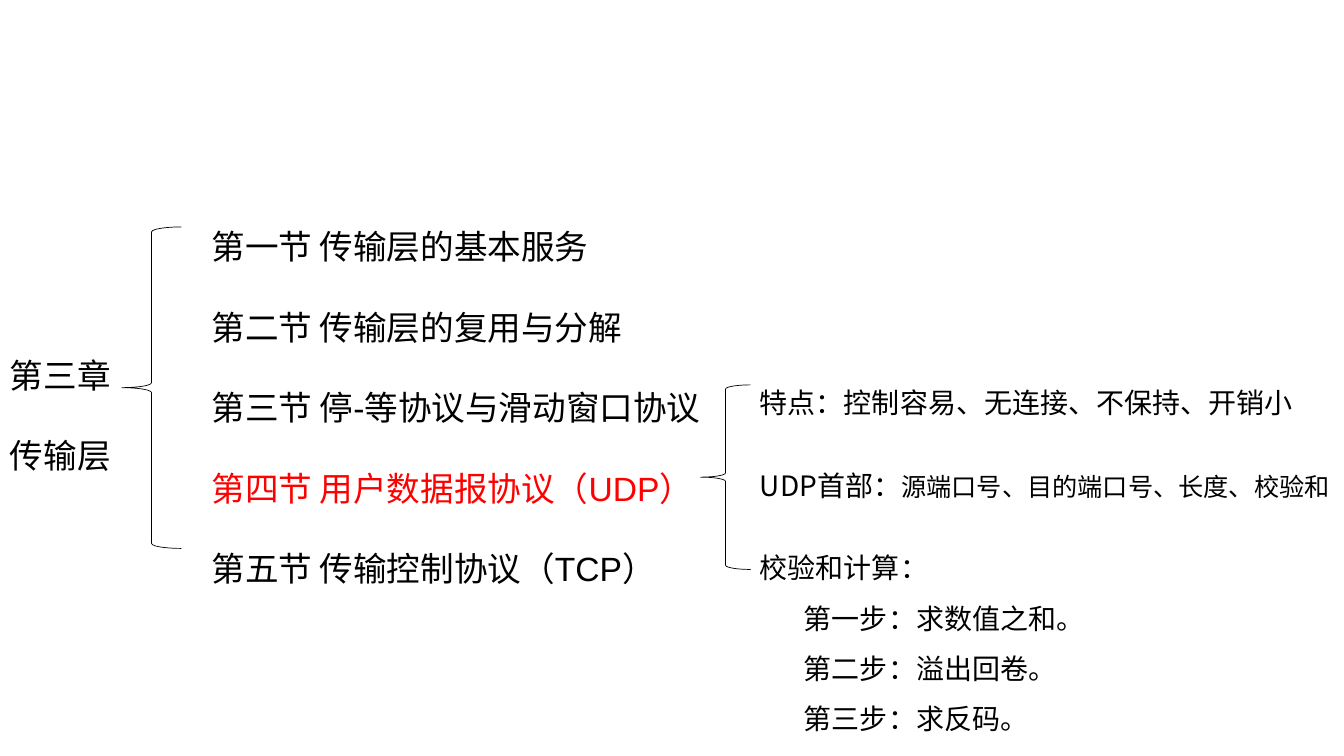
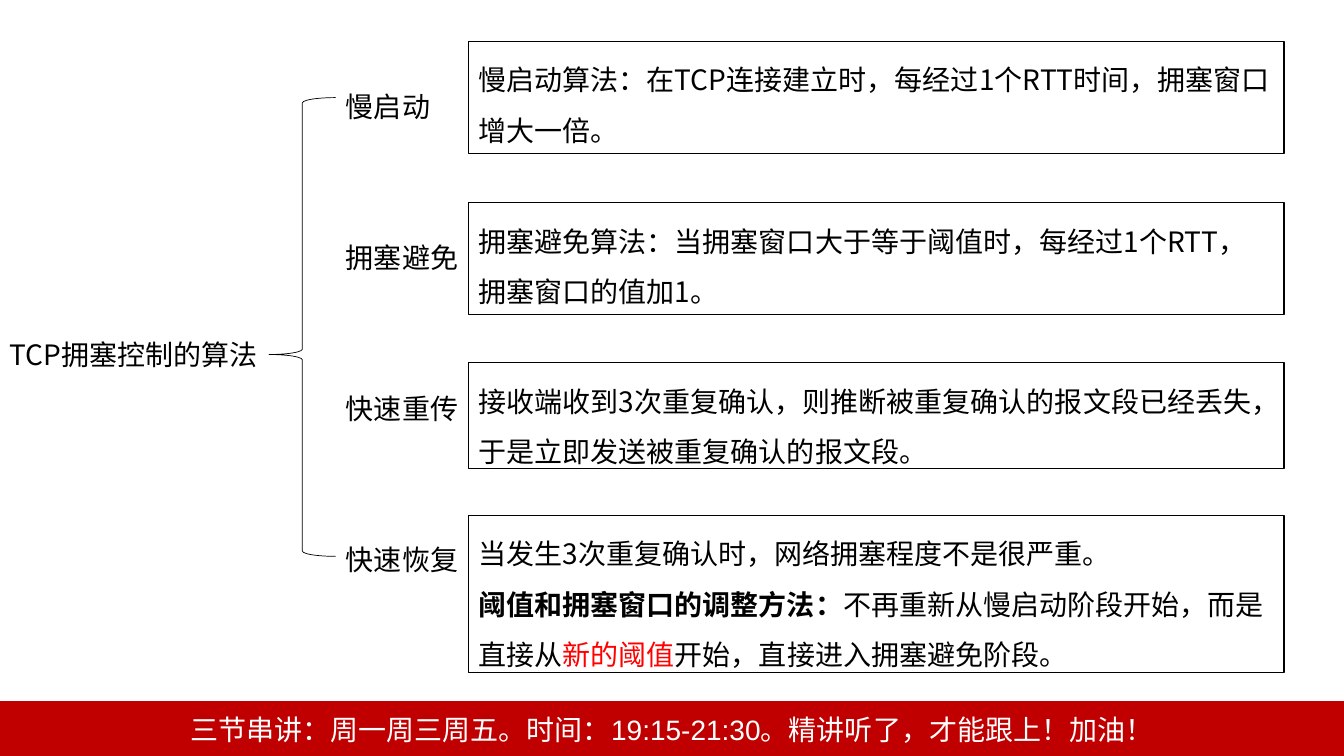
from pptx import Presentation
from pptx.dml.color import RGBColor
from pptx.enum.shapes import MSO_SHAPE
from pptx.enum.text import MSO_ANCHOR, PP_ALIGN
from pptx.oxml.ns import qn
from pptx.util import Cm, Pt

BLACK = RGBColor(0x00, 0x00, 0x00)
WHITE = RGBColor(0xFF, 0xFF, 0xFF)
RED = RGBColor(0xFF, 0x00, 0x00)
DARK_RED = RGBColor(0xC0, 0x00, 0x00)

RECTANGLE = MSO_SHAPE.RECTANGLE
LEFT_BRACE = MSO_SHAPE.LEFT_BRACE
LEFT = PP_ALIGN.LEFT
CENTER = PP_ALIGN.CENTER
TOP = MSO_ANCHOR.TOP
MIDDLE = MSO_ANCHOR.MIDDLE

LATIN = "Arial"
CHINESE = "Noto Sans CJK SC"
HEADING = {"name": LATIN, "size": Pt(24)}
BODY = {"name": CHINESE, "size": Pt(20)}
BANNER = {"name": LATIN, "size": Pt(20)}

SLIDE_WIDTH = 33.87
SLIDE_HEIGHT = 19.05


def set_attributes(target, values):
    for name, value in values.items():
        setattr(target, name, value)


class Deck:
    def __init__(self):
        self.presentation = Presentation()
        self.presentation.slide_width = Cm(SLIDE_WIDTH)
        self.presentation.slide_height = Cm(SLIDE_HEIGHT)
        self.slide = None

    def new_slide(self):
        self.slide = self.presentation.slides.add_slide(self.presentation.slide_layouts[6])

    def fill_text(self, shape, paragraphs, font, color=BLACK, spacing=1.5, gap=0,
                  alignment=LEFT, anchor=TOP, indents=()):
        frame = shape.text_frame
        set_attributes(frame, {"word_wrap": True, "vertical_anchor": anchor})
        for index, runs in enumerate(paragraphs):
            paragraph = frame.paragraphs[0] if index == 0 else frame.add_paragraph()
            set_attributes(paragraph, {
                "alignment": alignment,
                "line_spacing": spacing,
                "space_before": Pt(gap if index else 0),
            })
            if index in indents:
                paragraph._p.get_or_add_pPr().set("marL", str(Cm(1.11)))
            for part in [(runs, {})] if isinstance(runs, str) else runs:
                self.add_run(paragraph, part[0], {**font, "color": color, **part[1]})

    def add_run(self, paragraph, text, values):
        run = paragraph.add_run()
        run.text = text
        run.font.color.rgb = values.pop("color")
        set_attributes(run.font, values)
        properties = run._r.get_or_add_rPr()
        east_asian = properties.makeelement(qn("a:ea"), {"typeface": CHINESE})
        properties.find(qn("a:latin")).addnext(east_asian)

    def text(self, position, paragraphs, font, **options):
        box = self.slide.shapes.add_textbox(*map(Cm, position))
        self.fill_text(box, paragraphs, font, **options)

    def shape(self, kind, position, line_color, line_width, fill=None):
        shape = self.slide.shapes.add_shape(kind, *map(Cm, position))
        shape.shadow.inherit = False
        if fill is None:
            shape.fill.background()
        else:
            shape.fill.solid()
            shape.fill.fore_color.rgb = fill
        shape.line.color.rgb = line_color
        shape.line.width = Pt(line_width)
        return shape

    def brace(self, position, adjustments=()):
        shape = self.shape(LEFT_BRACE, position, BLACK, 0.5)
        for index, value in enumerate(adjustments):
            shape.adjustments[index] = value

    def panel(self, position, paragraphs):
        self.fill_text(self.shape(RECTANGLE, position, BLACK, 0.75), paragraphs, BODY)

    def banner(self, text):
        height = 1.37
        position = (0, SLIDE_HEIGHT - height, SLIDE_WIDTH, height)
        shape = self.shape(RECTANGLE, position, DARK_RED, 1, DARK_RED)
        self.fill_text(shape, [text], BANNER, color=WHITE, spacing=1,
                       alignment=CENTER, anchor=MIDDLE)


def build_chapter(deck):
    deck.new_slide()
    deck.text((0, 8.81, 3.07, 2.31), ["第三章", "传输层"], HEADING, spacing=1, gap=28.5)
    deck.text((5.08, 4.55, 13.23, 10.5), [
        "第一节 传输层的基本服务",
        "第二节 传输层的复用与分解",
        "第三节 停-等协议与滑动窗口协议",
        [("第四节 用户数据报协议（UDP）", {"color": RED})],
        "第五节 传输控制协议（TCP）",
    ], HEADING, spacing=2)
    deck.brace((3.07, 5.72, 1.5, 8.1))
    deck.brace((17.65, 9.7, 1.27, 4.65))

    details = [
        (14.66, 1.55, ["特点：控制容易、无连接、不保持、开销小"]),
        (14.96, 1.55, [[("UDP首部：", {}),
                        ("源端口号、目的端口号、长度、校验和", {"size": Pt(18)})]]),
        (14.96, 5.23, ["校验和计算：", "第一步：求数值之和。",
                       "第二步：溢出回卷。", "第三步：求反码。"]),
    ]
    for row, (width, height, paragraphs) in enumerate(details):
        deck.text((18.9, 9.17 + row * 2.08, width, height), paragraphs, BODY,
                  indents=(1, 2, 3))


def build_congestion(deck):
    deck.new_slide()
    deck.text((0, 7.95, 6.78, 1.4), ["TCP拥塞控制的算法"], BODY)
    deck.text((8.47, 1.7, 9.37, 13.08),
              ["慢启动", "拥塞避免", "快速重传", "快速恢复"], BODY, gap=72)
    deck.brace((6.78, 2.46, 1.68, 11.56), (0.08, 0.56))

    panels = [
        (1.04, 2.82, ["慢启动算法：在TCP连接建立时，每经过1个RTT时间，拥塞窗口增大一倍。"]),
        (5.1, 2.82, ["拥塞避免算法：当拥塞窗口大于等于阈值时，每经过1个RTT，拥塞窗口的值加1。"]),
        (9.14, 2.67, ["接收端收到3次重复确认，则推断被重复确认的报文段已经丢失，"
                      "于是立即发送被重复确认的报文段。"]),
        (12.98, 3.96, [
            "当发生3次重复确认时，网络拥塞程度不是很严重。",
            [("阈值和拥塞窗口的调整方法：", {"bold": True}),
             ("不再重新从慢启动阶段开始，而是直接从", {}),
             ("新的阈值", {"color": RED}),
             ("开始，直接进入拥塞避免阶段。", {})],
        ]),
    ]
    for top, height, paragraphs in panels:
        deck.panel((11.81, top, 20.55, height), paragraphs)
    deck.banner("三节串讲：周一周三周五。时间：19:15-21:30。精讲听了，才能跟上！加油！")


def main():
    deck = Deck()
    build_chapter(deck)
    build_congestion(deck)
    deck.presentation.save("out.pptx")


if __name__ == "__main__":
    main()
